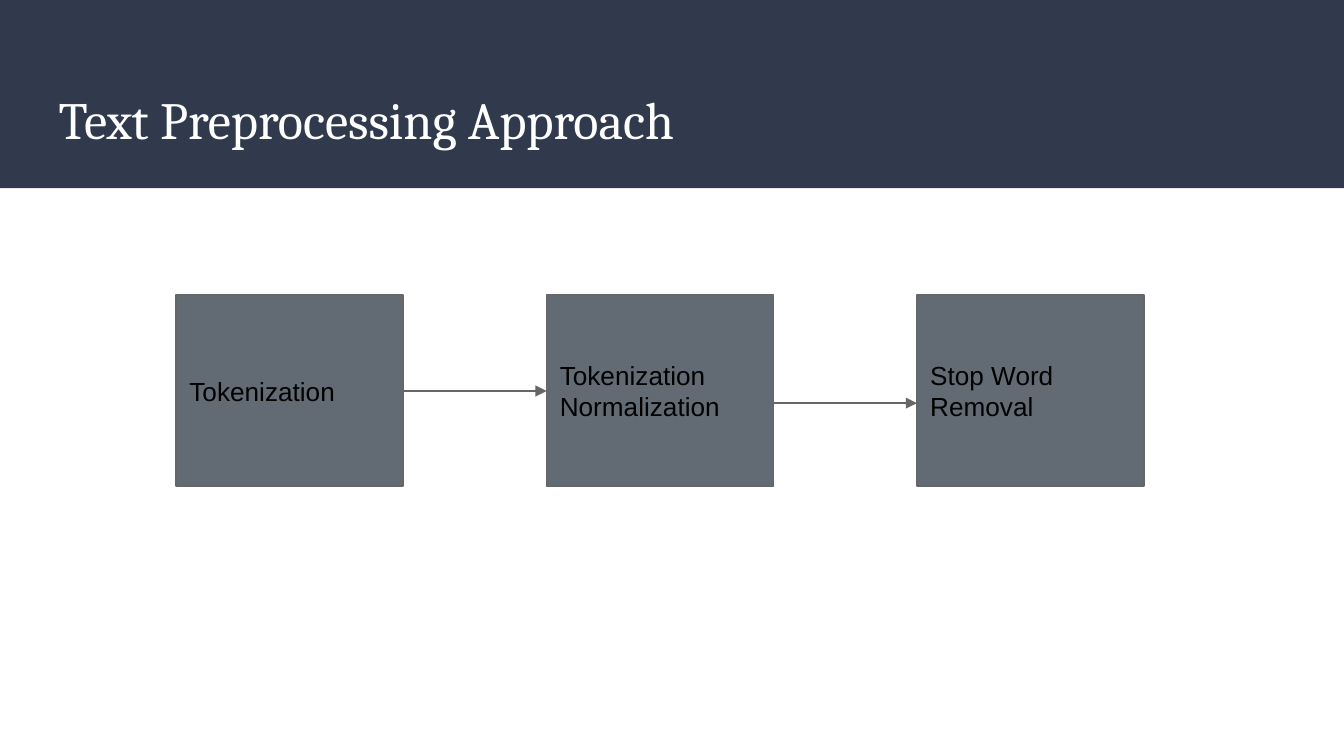
from dataclasses import dataclass
from pptx import Presentation
from pptx.dml.color import RGBColor
from pptx.enum.shapes import MSO_CONNECTOR, MSO_SHAPE
from pptx.enum.text import MSO_ANCHOR, MSO_AUTO_SIZE, PP_ALIGN
from pptx.oxml.ns import qn
from pptx.util import Cm, Pt
from lxml.etree import SubElement


@dataclass(frozen=True)
class Theme:
    navy: str = "31394D"
    slate: str = "626B73"
    edge: str = "666666"
    white: str = "FFFFFF"
    black: str = "000000"
    serif: str = "Cambria"
    sans: str = "Arial"
    head: int = 28
    body: int = 14
    rule: float = 0.75


THEME = Theme()
WIDTH, HEIGHT = 25.4, 14.29
LEFT, TOP, PITCH = 3.33, 5.58, 7
SIDE, TALL = 4.29, 3.61
STEPS = ["Tokenization", "Tokenization Normalization", "Stop Word Removal"]
LEVELS = [7.39, 7.62]


def rgb(code):
    return RGBColor.from_string(code)


def write(shape, text, font, size, color, anchor):
    frame = shape.text_frame
    frame.text = text
    frame.word_wrap = True
    frame.auto_size = MSO_AUTO_SIZE.NONE
    frame.vertical_anchor = anchor
    frame.margin_left = frame.margin_right = Cm(0.25)
    frame.margin_top = frame.margin_bottom = Cm(0.25)
    line = frame.paragraphs[0]
    line.alignment = PP_ALIGN.LEFT
    style = line.runs[0].font
    style.name, style.size = font, Pt(size)
    style.color.rgb = rgb(color)


def add_rect(slide, left, top, width, height, fill):
    rect = slide.shapes.add_shape(
        MSO_SHAPE.RECTANGLE, Cm(left), Cm(top), Cm(width), Cm(height))
    rect.shadow.inherit = False
    rect.fill.solid()
    rect.fill.fore_color.rgb = rgb(fill)
    rect.line.fill.background()
    return rect


def add_title(slide, text):
    band = add_rect(slide, 0, 0, WIDTH, 3.56, THEME.navy)
    title = slide.shapes.title
    title.left, title.top = Cm(0.86), Cm(1.4)
    title.width, title.height = Cm(23.67), Cm(1.73)
    write(title, text, THEME.serif, THEME.head, THEME.white, MSO_ANCHOR.TOP)
    title.element.addprevious(band.element)


def add_step(slide, left, text):
    box = add_rect(slide, left, TOP, SIDE, TALL, THEME.slate)
    box.line.color.rgb = rgb(THEME.edge)
    box.line.width = Pt(THEME.rule)
    write(box, text, THEME.sans, THEME.body, THEME.black, MSO_ANCHOR.MIDDLE)


def add_arrow(slide, start, end, level):
    arrow = slide.shapes.add_connector(
        MSO_CONNECTOR.STRAIGHT, Cm(start), Cm(level), Cm(end), Cm(level))
    arrow.line.color.rgb = rgb(THEME.edge)
    arrow.line.width = Pt(THEME.rule)
    SubElement(arrow.line._get_or_add_ln(), qn("a:tailEnd"),
               type="triangle", w="med", len="med")
    SubElement(arrow.element.spPr, qn("a:effectLst"))


def main():
    deck = Presentation()
    deck.slide_width, deck.slide_height = Cm(WIDTH), Cm(HEIGHT)
    slide = deck.slides.add_slide(deck.slide_layouts[5])
    slide.background.fill.solid()
    slide.background.fill.fore_color.rgb = rgb(THEME.white)
    add_title(slide, "Text Preprocessing Approach")
    for rank, text in enumerate(STEPS):
        add_step(slide, LEFT + rank * PITCH, text)
    for rank, level in enumerate(LEVELS):
        start = LEFT + rank * PITCH + SIDE
        add_arrow(slide, start, start + PITCH - SIDE, level)
    deck.save("out.pptx")


main()
